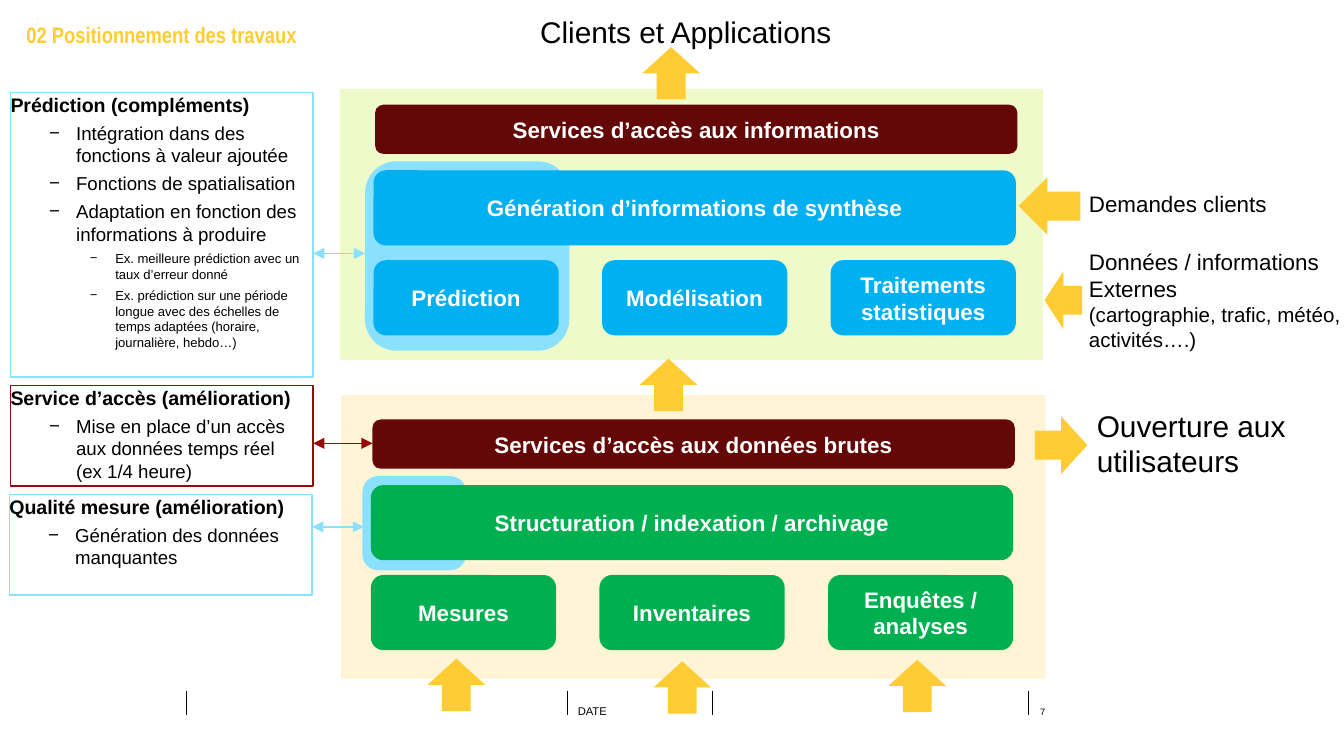
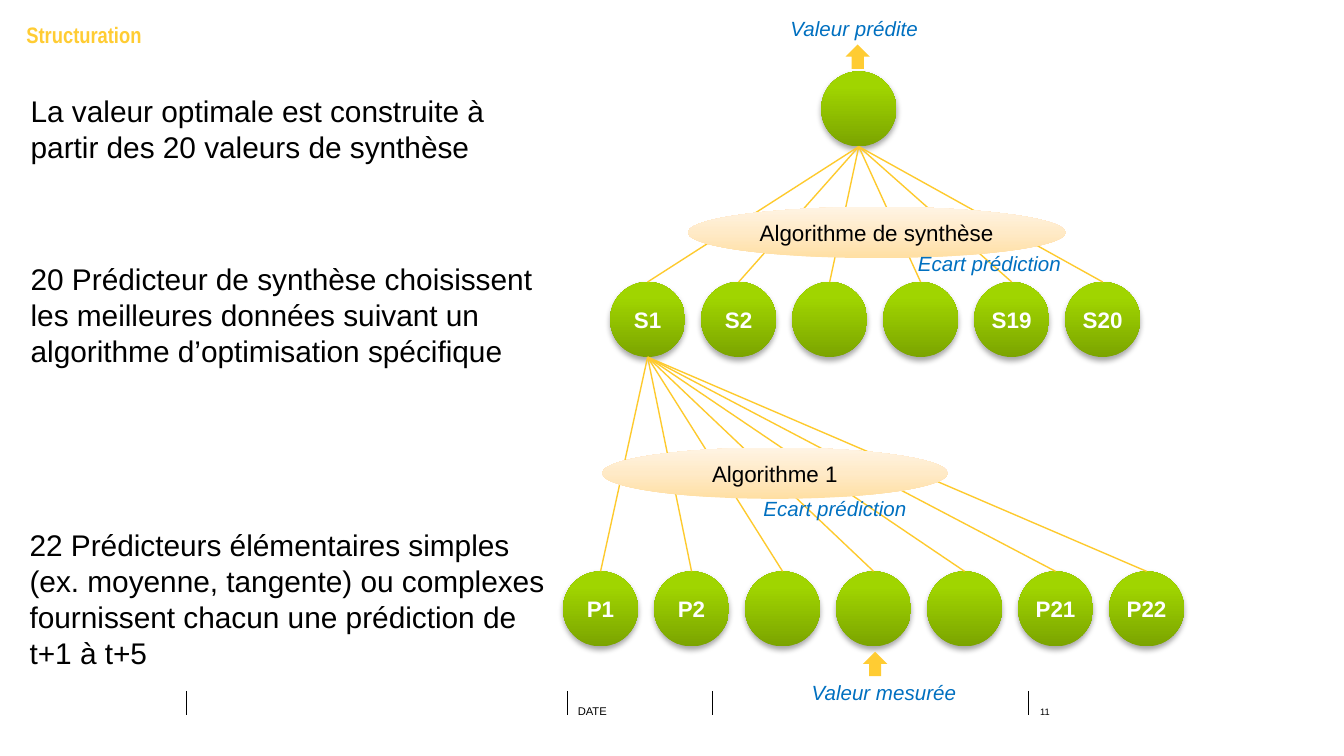
from copy import deepcopy

from lxml import etree
from pptx import Presentation
from pptx.dml.color import RGBColor
from pptx.enum.shapes import MSO_CONNECTOR, MSO_SHAPE
from pptx.enum.text import MSO_ANCHOR, PP_ALIGN
from pptx.oxml.ns import qn
from pptx.util import Cm, Pt

RECT, ROUND = MSO_SHAPE.RECTANGLE, MSO_SHAPE.ROUNDED_RECTANGLE
OVAL, ARROW = MSO_SHAPE.OVAL, MSO_SHAPE.RIGHT_ARROW
STRAIGHT = MSO_CONNECTOR.STRAIGHT
TOP, MID, LOW = MSO_ANCHOR.TOP, MSO_ANCHOR.MIDDLE, MSO_ANCHOR.BOTTOM
LEFT, CENTER = PP_ALIGN.LEFT, PP_ALIGN.CENTER

BLACK, WHITE, GOLD, RAY = "000000", "FFFFFF", "FFCC33", "FECA2D"
SKY, CYAN, WINE, RED = "89E0FF", "00B0F0", "640707", "960A0A"
GREEN, LIME, CREAM, BLUE = "00B050", "EEFACA", "FFF5D6", "0070C0"
LEAF = [(0, "7BA400"), (0.8, "A0D500"), (1, "A1D600")]
PEACH = [(0, "FFDFA3"), (0.5, "FFEAC7"), (1, "FFF4E4")]

HEAD = {"name": "Arial Narrow", "size": Pt(12), "bold": True}
BOLD = {"name": "Arial", "size": Pt(12), "bold": True}
BODY = {"name": "Arial", "size": Pt(12)}
LARGE = {"name": "Arial", "size": Pt(16)}
SLANT = {"name": "Arial", "size": Pt(11), "italic": True}
BARE = {"margin_left": 0, "margin_right": 0, "margin_top": 0, "margin_bottom": 0}
LEVELS = [
    ({"name": "Arial", "size": Pt(10.5), "bold": True}, 0, 0),
    ({"name": "Arial", "size": Pt(10), "bold": False}, 1.24, 0.51),
    ({"name": "Arial", "size": Pt(7), "bold": False}, 1.98, 0.48),
]
DOT = 1.42
PITCH = 1.72


def ink(code):
    return RGBColor.from_string(code)


def dress(item, look):
    for key, value in look.items():
        setattr(item, key, value)


def put(para, line, look, hue):
    run = para.add_run()
    run.text = line
    dress(run.font, look)
    run.font.color.rgb = ink(hue)


def write(shape, lines, look, hue, frame, align=None):
    text = shape.text_frame
    dress(text, {"word_wrap": True, **frame})
    for i, line in enumerate(lines):
        para = text.paragraphs[0] if i == 0 else text.add_paragraph()
        para.alignment = align
        put(para, line, look, hue)


def label(slide, box, lines, look, hue=BLACK, **frame):
    shape = slide.shapes.add_textbox(*map(Cm, box))
    write(shape, lines, look, hue, {**BARE, "vertical_anchor": TOP, **frame})
    return shape


def block(slide, kind, box, fill=None, edge=None):
    shape = slide.shapes.add_shape(kind, *map(Cm, box))
    shape.shadow.inherit = False
    if fill:
        shape.fill.solid()
        shape.fill.fore_color.rgb = ink(fill)
    else:
        shape.fill.background()
    if edge:
        shape.line.color.rgb = ink(edge)
        shape.line.width = Pt(0.75)
    else:
        shape.line.fill.background()
    return shape


def button(slide, box, name, fill):
    shape = block(slide, ROUND, box, fill)
    write(shape, [name], BOLD, WHITE, {"vertical_anchor": MID}, CENTER)


def arrow(slide, box, turn=0):
    block(slide, ARROW, box, GOLD).rotation = turn


def rule(slide, start, end, hue, width=0.75, heads=False):
    line = slide.shapes.add_connector(STRAIGHT, *map(Cm, start + end))
    line.line.color.rgb = ink(hue)
    line.line.width = Pt(width)
    props = line.element.spPr
    if heads:
        for tag in ("a:headEnd", "a:tailEnd"):
            etree.SubElement(props.find(qn("a:ln")), qn(tag), type="triangle")
    etree.SubElement(props, qn("a:effectLst"))


def shade(shape, stops):
    fill = shape.fill
    fill.gradient()
    fill.gradient_angle = 90
    group = shape.element.spPr.find(qn("a:gradFill")).find(qn("a:gsLst"))
    group.append(deepcopy(group[-1]))
    for stop, (place, code) in zip(fill.gradient_stops, stops):
        stop.position = place
        stop.color.rgb = ink(code)


def glow(shape):
    group = shape.element.spPr.find(qn("a:effectLst"))
    cast = etree.SubElement(group, qn("a:outerShdw"), blurRad="39400",
                            dist="22900", dir="5400000", rotWithShape="0")
    color = etree.SubElement(cast, qn("a:srgbClr"), val=BLACK)
    etree.SubElement(color, qn("a:alpha"), val="35000")


def base(deck, title, number):
    slide = deck.slides.add_slide(deck.slide_layouts[6])
    for x in (3.53, 10.72, 13.46, 19.43):
        rule(slide, (x, 13.06), (x, 13.52), BLACK, 0.5)
    for box, text, size in (((10.92, 13.11, 2.49, 0.46), "DATE", 6),
                            ((19.66, 13.26, 0.74, 0.3), number, 5)):
        look = {"name": "Arial", "size": Pt(size)}
        label(slide, box, [text], look, vertical_anchor=LOW)
    label(slide, (0.5, 0.4, 23.39, 0.46), [title], HEAD, GOLD)
    return slide


def tier(slide, box, pad, tint, halo, fill, bar, wide, cells):
    x, y = box[0] + pad[0], box[1] + pad[1]
    block(slide, RECT, box, tint)
    block(slide, ROUND, (x - 0.16, y + 1.07, *halo), SKY)
    for i, name in enumerate(cells):
        button(slide, (x + i * 4.32, y + 2.94, 3.5, 1.42), name, fill)
    button(slide, (x, y + 1.24, 12.14, 1.42), wide, fill)
    button(slide, (x + 0.03, y, 12.14, 0.93), bar, WINE)


def note(slide, box, hue, lines, link, edge=0):
    x, y, wide, _ = box
    text = block(slide, RECT, box, edge=hue).text_frame
    dress(text, {**BARE, "margin_right": Cm(edge), "word_wrap": True,
                 "vertical_anchor": TOP})
    for i, (level, line) in enumerate(lines):
        look, left, hang = LEVELS[level]
        para = text.paragraphs[0] if i == 0 else text.add_paragraph()
        para.alignment = LEFT
        if level:
            para.level = level
            props = para._p.get_or_add_pPr()
            props.set("marL", str(Cm(left)))
            props.set("indent", str(-Cm(hang)))
            color = etree.SubElement(props, qn("a:buClr"))
            etree.SubElement(color, qn("a:srgbClr"), val=BLACK)
            etree.SubElement(props, qn("a:buFont"), typeface="Arial")
            etree.SubElement(props, qn("a:buChar"), char="−")
            para.space_before = Pt(3)
        put(para, line, look, BLACK)
    drop, reach = link
    rule(slide, (x + wide, y + drop), (x + wide + reach, y + drop), hue, heads=True)


def row(slide, box, names):
    x, y = box
    for i, name in enumerate(names):
        dot = block(slide, OVAL, (x + i * PITCH, y, DOT, DOT), GREEN)
        shade(dot, LEAF)
        glow(dot)
        if name:
            frame = {"word_wrap": False, "vertical_anchor": MID}
            write(dot, [name], BOLD, WHITE, frame, CENTER)


def fan(slide, box, count, root, oval, name):
    x, y = box
    half = DOT / 2
    for i in range(count):
        rule(slide, (x + i * PITCH + half, y), (root[0] + half, root[1] + DOT), RAY)
    shape = block(slide, OVAL, oval, CREAM)
    shade(shape, PEACH)
    write(shape, [name], BODY, BLACK, {"vertical_anchor": MID}, CENTER)


def works(deck):
    slide = base(deck, "02 Positionnement des travaux", "7")
    tier(slide, (6.45, 7.47, 13.31, 5.36), (0.56, 0.46), CREAM, (1.96, 1.78), GREEN,
         "Services d’accès aux données brutes",
         "Structuration / indexation / archivage",
         ["Mesures", "Inventaires", "Enquêtes / analyses"])
    tier(slide, (6.43, 1.68, 13.28, 5.13), (0.63, 0.3), LIME, (3.86, 3.58), CYAN,
         "Services d’accès aux informations",
         "Génération d’informations de synthèse",
         ["Prédiction", "Modélisation", "Traitements statistiques"])
    for x, y in ((12.14, 6.73), (12.19, 0.84), (16.84, 12.42),
                 (12.4, 12.45), (8.13, 12.4)):
        arrow(slide, (x, y, 0.99, 1.09), 270)
    arrow(slide, (19.56, 7.87, 0.99, 1.09))
    arrow(slide, (19.74, 5.13, 0.71, 1.09), 180)
    arrow(slide, (19.25, 3.35, 1.17, 1.09), 180)
    label(slide, (10.21, 0.25, 6, 0.7), ["Clients et Applications"], LARGE)
    label(slide, (20.73, 7.7, 3.86, 1.57), ["Ouverture aux", "utilisateurs"], LARGE)
    label(slide, (20.58, 3.2, 3.51, 1.3), ["Demandes clients"], BODY,
          vertical_anchor=MID)
    data = label(slide, (20.58, 4.4, 4.82, 2.95),
                 ["Données / informations", "Externes",
                  "(cartographie, trafic, météo, activités….)"], BODY,
                 vertical_anchor=MID, margin_bottom=Cm(0.42))
    data.text_frame.paragraphs[-1].runs[0].font.size = Pt(11)
    note(slide, (0.2, 1.75, 5.72, 5.38), SKY, [
        (0, "Prédiction (compléments)"),
        (1, "Intégration dans des fonctions à valeur ajoutée"),
        (1, "Fonctions de spatialisation"),
        (1, "Adaptation en fonction des informations à produire"),
        (2, "Ex. meilleure prédiction avec un taux d’erreur donné"),
        (2, "Ex. prédiction sur une période longue avec des échelles de temps "
            "adaptées (horaire, journalière, hebdo…)"),
    ], (3.04, 0.98))
    note(slide, (0.2, 7.29, 5.72, 1.9), RED, [
        (0, "Service d’accès (amélioration)"),
        (1, "Mise en place d’un accès aux données temps réel (ex 1/4 heure)"),
    ], (1.09, 1.12), 0.3)
    note(slide, (0.18, 9.35, 5.72, 1.9), SKY, [
        (0, "Qualité mesure (amélioration)"),
        (1, "Génération des données manquantes"),
    ], (0.61, 0.98))


def layers(deck):
    slide = base(deck, "Structuration", "11")
    leaves = ["P1", "P2", "", "", "", "P21", "P22"]
    sums = ["S1", "S2", "", "", "S19", "S20"]
    low, mid, top = (10.64, 10.8), (11.53, 5.33), (15.52, 1.35)
    row(slide, low, leaves)
    row(slide, mid, sums)
    row(slide, top, [""])
    fan(slide, low, len(leaves), mid, (11.38, 8.46, 6.53, 0.97), "Algorithme 1")
    fan(slide, mid, len(sums), top, (13, 3.91, 7.14, 0.97), "Algorithme de synthèse")
    for box, text in (
        ((0.58, 1.75, 9.58, 1.63),
         "La valeur optimale est construite à partir des 20 valeurs de synthèse"),
        ((0.58, 4.93, 9.58, 2.39),
         "20 Prédicteur de synthèse choisissent les meilleures données suivant "
         "un algorithme d’optimisation spécifique"),
        ((0.56, 9.96, 9.78, 3.02),
         "22 Prédicteurs élémentaires simples (ex. moyenne, tangente) ou "
         "complexes fournissent chacun une prédiction de t+1 à t+5"),
    ):
        label(slide, box, [text], LARGE)
    for x, y in ((15.98, 0.84), (16.31, 12.32)):
        arrow(slide, (x, y, 0.46, 0.46), 270)
    for x, y, text in ((14.94, 0.3, "Valeur prédite"),
                       (15.34, 12.85, "Valeur mesurée"),
                       (14.43, 9.37, "Ecart prédiction"),
                       (17.35, 4.75, "Ecart prédiction")):
        label(slide, (x, y, 2.87, 0.51), [text], SLANT, BLUE)


def main():
    deck = Presentation()
    deck.slide_width, deck.slide_height = Cm(25.4), Cm(14.29)
    works(deck)
    layers(deck)
    deck.save("out.pptx")


if __name__ == "__main__":
    main()
